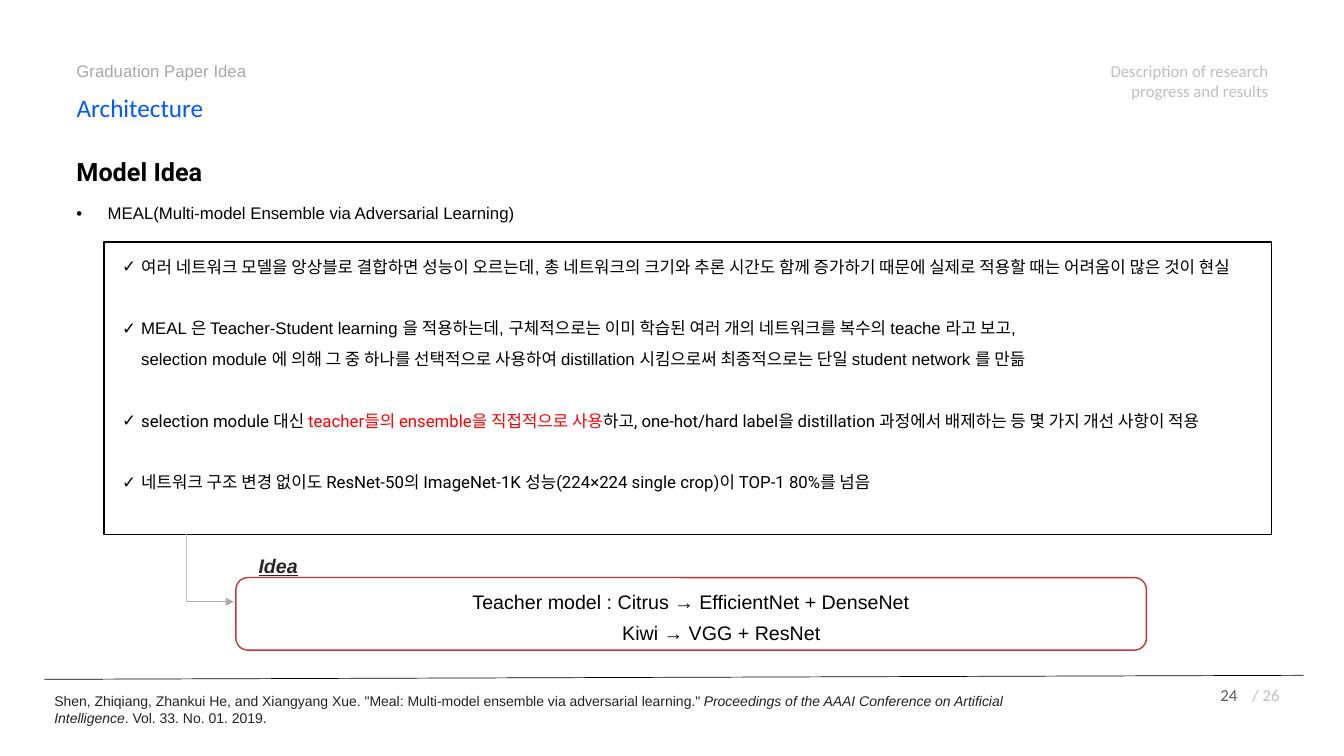
from lxml import etree
from pptx import Presentation
from pptx.dml.color import RGBColor
from pptx.enum.shapes import MSO_CONNECTOR, MSO_SHAPE
from pptx.enum.text import MSO_ANCHOR, PP_ALIGN
from pptx.oxml.ns import qn
from pptx.util import Inches, Pt

LEFT, CENTER, RIGHT = PP_ALIGN.LEFT, PP_ALIGN.CENTER, PP_ALIGN.RIGHT
TOP, MIDDLE = MSO_ANCHOR.TOP, MSO_ANCHOR.MIDDLE
RECT, ROUND = MSO_SHAPE.RECTANGLE, MSO_SHAPE.ROUNDED_RECTANGLE
STRAIGHT = MSO_CONNECTOR.STRAIGHT

BLACK = RGBColor(0x00, 0x00, 0x00)
WHITE = RGBColor(0xFF, 0xFF, 0xFF)
BLUE = RGBColor(0x00, 0x5A, 0xFF)
RED = RGBColor(0xFF, 0x00, 0x00)
CRIMSON = RGBColor(0xCD, 0x33, 0x33)
INK = RGBColor(0x22, 0x22, 0x22)
CHARCOAL = RGBColor(0x26, 0x26, 0x26)
SLATE = RGBColor(0x59, 0x59, 0x59)
GREY = RGBColor(0xA6, 0xA6, 0xA6)
ARROW_GREY = RGBColor(0xAF, 0xAB, 0xAB)
PALE = RGBColor(0xBF, 0xBF, 0xBF)

WIDTH, HEIGHT = Inches(13.33), Inches(7.5)
COL, ROW = WIDTH / 100, HEIGHT / 100
LINE = Pt(22)


def cells(x, y, w, h):
    return int(x * COL), int(y * ROW), int(w * COL), int(h * ROW)


def font(name, size, color, **extra):
    return dict(name=name, size=Pt(size), color=color, **extra)


def add_run(p, text, fmt):
    r = p.add_run()
    r.text = text
    for key, value in fmt.items():
        if key == "color":
            r.font.color.rgb = value
        else:
            setattr(r.font, key, value)


def format_paragraph(p, **fmt):
    for key, value in fmt.items():
        setattr(p, key, value)


def indent(p, left, first=0, bullet=None):
    pPr = p._p.get_or_add_pPr()
    pPr.set("marL", str(Inches(left)))
    pPr.set("indent", str(Inches(first)))
    if bullet:
        etree.SubElement(pPr, qn("a:buFont")).set("typeface", "Arial")
        etree.SubElement(pPr, qn("a:buChar")).set("char", bullet)


def write(sp, text, fmt, align=LEFT):
    tf = sp.text_frame
    tf.word_wrap = True
    tf.vertical_anchor = TOP
    p = tf.paragraphs[0]
    p.alignment = align
    add_run(p, text, fmt)
    return p


def add_text(slide, box, text, fmt, align=LEFT):
    return write(slide.shapes.add_textbox(*cells(*box)), text, fmt, align)


def add_box(slide, kind, box, line, anchor):
    sp = slide.shapes.add_shape(kind, *cells(*box))
    sp.shadow.inherit = False
    sp.fill.solid()
    sp.fill.fore_color.rgb = WHITE
    sp.line.color.rgb = line
    sp.line.width = Pt(1)
    sp.text_frame.word_wrap = True
    sp.text_frame.vertical_anchor = anchor
    return sp


def add_line(slide, x1, y1, x2, y2, color, arrow=False):
    line = slide.shapes.add_connector(STRAIGHT, *cells(x1, y1, x2, y2))
    line.line.color.rgb = color
    line.line.width = Pt(0.5)
    if arrow:
        etree.SubElement(line.line._get_or_add_ln(), qn("a:tailEnd")).set("type", "triangle")
    etree.SubElement(line._element.spPr, qn("a:effectLst"))


def header(slide, x, y, w, h):
    label_w = 17.7
    title = slide.shapes.title
    title.left, title.top, title.width, title.height = cells(x, y + 4.27, label_w, 5.33)
    write(title, "Architecture", font("Calibri", 18, BLUE))
    add_text(slide, (x, y, label_w, 4), "Graduation Paper Idea", font("Arial", 12, GREY))
    add_text(slide, (x + w - label_w, y, label_w, 6.67),
             "Description of research progress and results", font("Calibri", 12, PALE), RIGHT)


def intro(slide, x, y, w, h):
    sp = slide.shapes.add_textbox(*cells(x, y, w, h))
    write(sp, "Model Idea", font("Roboto", 18, BLACK, bold=True))
    p = sp.text_frame.add_paragraph()
    p.space_before = Pt(12)
    indent(p, 0.31, -0.31, "•")
    add_run(p, "MEAL(Multi-model Ensemble via Adversarial Learning)", font("Arial", 12, BLACK))


def panel(slide, x, y, w, h):
    arial, roboto = font("Arial", 12, BLACK), font("Roboto", 12, BLACK)
    points = [
        [("여러 네트워크 모델을 앙상블로 결합하면 성능이 오르는데, 총 네트워크의 크기와 추론 시간도 "
          "함께 증가하기 때문에 실제로 적용할 때는 어려움이 많은 것이 현실", arial)],
        [("MEAL 은 Teacher-Student learning 을 적용하는데, 구체적으로는 이미 학습된 여러 개의 "
          "네트워크를 복수의 teache 라고 보고, ", arial),
         None,
         ("selection module 에 의해 그 중 하나를 선택적으로 사용하여 distillation 시킴으로써 "
          "최종적으로는 단일 student network 를 만듦", arial)],
        [("selection module 대신 ", roboto),
         ("teacher들의 ensemble을 직접적으로 사용", font("Roboto", 12, RED)),
         ("하고, one-hot/hard label을 distillation 과정에서 배제하는 등 몇 가지 개선 사항이 적용", roboto)],
        [("네트워크 구조 변경 없이도 ResNet-50의 ImageNet-1K 성능(224×224 single crop)이 "
          "TOP-1 80%를 넘음", roboto)],
    ]
    tf = add_box(slide, RECT, (x, y, w, h), BLACK, TOP).text_frame
    tf.margin_left, tf.margin_top = Inches(0.18), Inches(0.04)
    for i, parts in enumerate(points):
        p = tf.add_paragraph() if i else tf.paragraphs[0]
        format_paragraph(p, alignment=LEFT, line_spacing=LINE, space_before=LINE if i else 0)
        indent(p, 0.19, -0.19, "✓")
        for part in parts:
            if part:
                add_run(p, *part)
            else:
                p.add_line_break()


def idea(slide, x, y, w, h):
    elbow, inset, top = y + 8.93, 3.67, 5.73
    p = add_text(slide, (x + 4.27, y + 0.93, 5.1, 5.07), "Idea",
                 font("Arial", 14, CHARCOAL, bold=True, italic=True, underline=True), CENTER)
    p.line_spacing = LINE
    tf = add_box(slide, ROUND, (x + inset, y + top, w - inset, h - top), CRIMSON, MIDDLE).text_frame
    models = ["Teacher model : Citrus → EfficientNet + DenseNet", "Kiwi → VGG + ResNet"]
    for i, text in enumerate(models):
        p = tf.add_paragraph() if i else tf.paragraphs[0]
        format_paragraph(p, alignment=CENTER, line_spacing=LINE)
        indent(p, 0.6 * i)
        add_run(p, text, font("Arial", 14, BLACK))
    add_line(slide, x, elbow, x + 3.52, elbow, ARROW_GREY, arrow=True)
    add_line(slide, x, y, x, elbow, PALE)


def footer(slide, x, y, w, h):
    cite = font("Arial", 10, INK)
    add_line(slide, x, y + 0.53, x + w, y, BLACK)
    p = add_text(slide, (x, y + 1.6, 77.87, 5.87),
                 "Shen, Zhiqiang, Zhankui He, and Xiangyang Xue. \"Meal: Multi-model ensemble "
                 "via adversarial learning.\" ", cite)
    add_run(p, "Proceedings of the AAAI Conference on Artificial Intelligence", dict(cite, italic=True))
    add_run(p, ". Vol. 33. No. 01. 2019.", cite)
    for dx, dw, text, color in [(84.32, 5.18, "24", SLATE), (88.07, 4.58, "/ 26", PALE)]:
        add_text(slide, (x + dx, y + 0.53, dw, 4), text, font("Calibri", 12, color), RIGHT)


def main():
    prs = Presentation()
    prs.slide_width, prs.slide_height = WIDTH, HEIGHT
    slide = prs.slides.add_slide(prs.slide_layouts[5])
    header(slide, 4.95, 7.33, 90.17, 9.6)
    intro(slide, 4.95, 20, 85, 10.27)
    panel(slide, 7.73, 32, 86.87, 38.67)
    idea(slide, 13.88, 70.67, 71.42, 15.33)
    footer(slide, 3.3, 89.33, 93.69, 7.47)
    prs.save("out.pptx")


if __name__ == "__main__":
    main()
